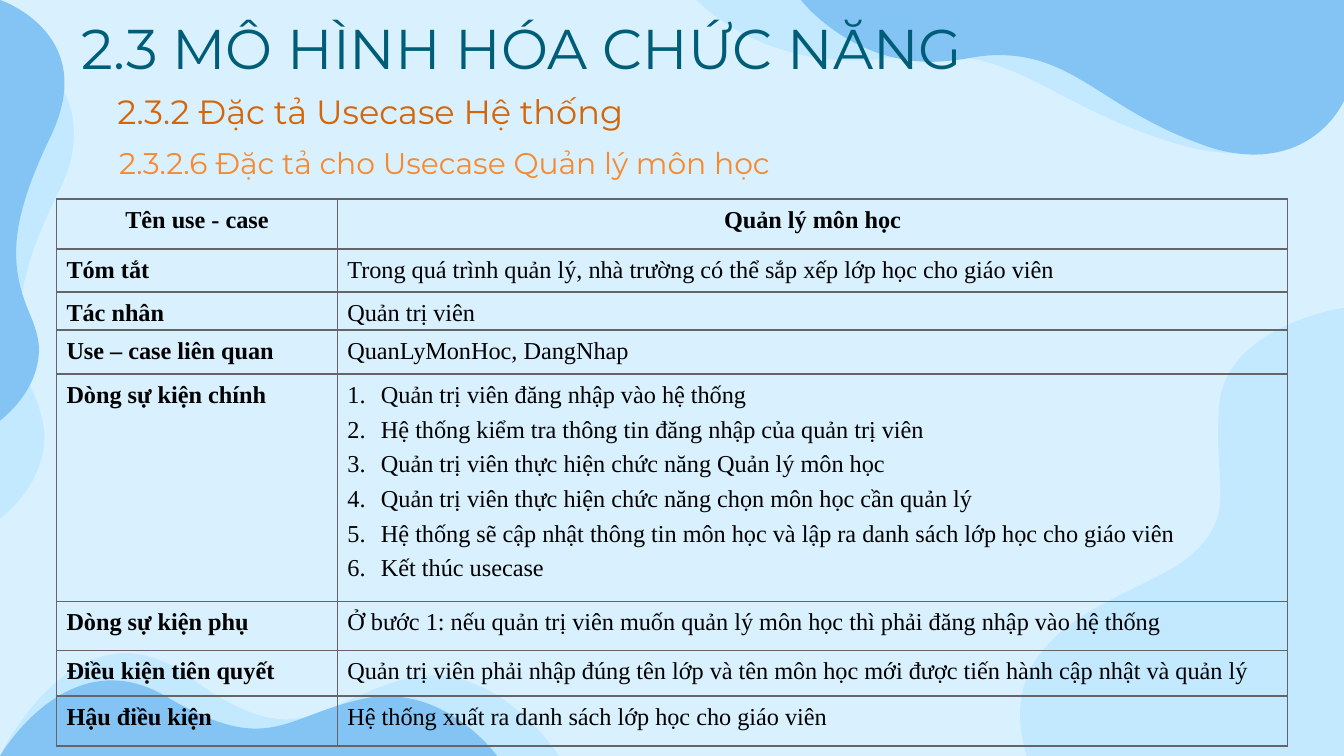
from lxml import etree
from pptx import Presentation
from pptx.dml.color import RGBColor
from pptx.enum.text import MSO_ANCHOR, PP_ALIGN
from pptx.oxml.ns import qn
from pptx.util import Inches, Pt

LEFT, CENTER, JUSTIFY = PP_ALIGN.LEFT, PP_ALIGN.CENTER, PP_ALIGN.JUSTIFY
TOP = MSO_ANCHOR.TOP
UNIT = Inches(0.1)
COLS, ROWS = 100, 56.25
PALE, SKY, INK, RULE = "C2E9FF", "84C4F4", "000000", "666466"
HEADING_FONT, TABLE_FONT = "Montserrat", "Times New Roman"

WAVES = [
    (PALE, (100, 22.9), [
        (100, 22.9, 91.1, 24.2, 90.7, 30.3), (90.3, 36.5, 92.1, 38.3, 88.5, 41.4),
        (84.9, 44.5, 73.4, 46.2, 76.4, ROWS), (100, ROWS)]),
    (PALE, (100, 0), [
        (100, 7.4), (100, 7.4, 97.9, 11.4, 92.1, 11.4), (90.7, 11.4, 89.1, 11.2, 87.2, 10.6),
        (78.7, 8, 76.1, 4.1, 69.4, 4.1), (68.5, 4.1, 67.4, 4.1, 66.3, 4.3),
        (65.3, 4.4, 64.4, 4.5, 63.5, 4.5), (56, 4.5, 51.8, 0, 51.8, 0)]),
    (SKY, (100, 0), [
        (100, 7.5), (100, 7.5, 98.3, 11.5, 93.3, 11.5), (92.2, 11.5, 90.8, 11.3, 89.3, 10.7),
        (82.1, 8.1, 80, 4.1, 74.3, 4.1), (73.5, 4.1, 72.7, 4.2, 71.7, 4.4),
        (70.9, 4.5, 70.1, 4.6, 69.3, 4.6), (63.1, 4.6, 59.6, 0, 59.6, 0)]),
    (PALE, (41.6, ROWS), [
        (41.6, ROWS, 36.8, 48.8, 30.2, 50.5), (23.5, 52.3, 22.3, 56.4, 14, 50.3),
        (5.7, 44.3, 0, ROWS, 0, ROWS)]),
    (SKY, (37, ROWS), [
        (37, ROWS, 33, 50.7, 27, 52), (21.1, 53.3, 20, 56.3, 12.5, 51.9),
        (5.1, 47.4, 0, ROWS, 0, ROWS)]),
    (PALE, (5.5, 9.9), [
        (5.5, 4.7, 0, 2.8, 0, 2.8), (0, 38.6), (0, 38.6, 3.3, 36.2, 3.3, 32.5),
        (3.3, 31.8, 3.1, 30.9, 2.8, 30), (2.1, 28.4, 1.4, 26.7, 1.4, 24.3),
        (1.4, 21.9, 2.1, 18.8, 4.3, 14.4), (5.2, 12.7, 5.5, 11.2, 5.5, 9.9)]),
    (SKY, (4.8, 6.2), [
        (4.8, 1.6, 0, 0, 0, 0), (0, 31.3), (0, 31.3, 2.9, 29.2, 2.9, 26),
        (2.9, 25.3, 2.7, 24.6, 2.4, 23.8), (1.8, 22.4, 1.2, 20.9, 1.2, 18.8),
        (1.2, 16.7, 1.9, 14, 3.8, 10.1), (4.5, 8.6, 4.8, 7.3, 4.8, 6.2)]),
]

ROW_HEIGHTS = [3.72, 3.2, 2.4, 3.3, 16.9, 3.64, 3.42, 3.7]
COLUMN_WIDTHS = [20.9, 70.7]
USE_CASE = [
    ("Tên use - case", ["Quản lý môn học"]),
    ("Tóm tắt", ["Trong quá trình quản lý, nhà trường có thể sắp xếp lớp học cho giáo viên"]),
    ("Tác nhân", ["Quản trị viên"]),
    ("Use – case liên quan", ["QuanLyMonHoc, DangNhap"]),
    ("Dòng sự kiện chính", [
        "Quản trị viên đăng nhập vào hệ thống",
        "Hệ thống kiểm tra thông tin đăng nhập của quản trị viên",
        "Quản trị viên thực hiện chức năng Quản lý môn học",
        "Quản trị viên thực hiện chức năng chọn môn học cần quản lý",
        "Hệ thống sẽ cập nhật thông tin môn học và lập ra danh sách lớp học cho giáo viên",
        "Kết thúc usecase"]),
    ("Dòng sự kiện phụ", [
        "Ở bước 1: nếu quản trị viên muốn quản lý môn học thì phải đăng nhập vào hệ thống"]),
    ("Điều kiện tiên quyết", [
        "Quản trị viên phải nhập đúng tên lớp và tên môn học mới được tiến hành cập nhật và quản lý"]),
    ("Hậu điều kiện", ["Hệ thống xuất ra danh sách lớp học cho giáo viên"]),
]


def grid(n):
    """Turn grid units into EMU."""
    return round(n * UNIT)


def rgb(value):
    """Turn a hex string into a colour."""
    return RGBColor.from_string(value)


def add_run(p, text, size, font, color, bold=False):
    """Append one formatted run to a paragraph."""
    r = p.add_run()
    r.text = text
    r.font.size, r.font.name, r.font.bold = Pt(size), font, bold
    r.font.color.rgb = rgb(color)


def bend_lines(sp, segments):
    """Merge each run of three line points that stands for a curve."""
    lines = iter(list(sp.element.iter(qn("a:lnTo"))))
    for seg in segments:
        first = next(lines)
        if len(seg) == 6:
            first.tag = qn("a:cubicBezTo")
            for _ in range(2):
                line = next(lines)
                first.append(line[0])
                line.getparent().remove(line)


def draw_waves(s, master, box):
    """Draw the waves from the corner of the box and hand them to the master."""
    x, y = box[:2]
    for i, (color, start, segments) in enumerate(WAVES):
        points = [start] + [seg[k:k + 2] for seg in segments for k in range(0, len(seg), 2)]
        outline = [(grid(x + px), grid(y + py)) for px, py in points]
        builder = s.shapes.build_freeform(*outline[0], scale=1.0)
        builder.add_line_segments(outline[1:], close=False)
        sp = builder.convert_to_shape()
        bend_lines(sp, segments)
        sp.shadow.inherit = False
        sp.fill.solid()
        sp.fill.fore_color.rgb = rgb(color)
        sp.line.fill.background()
        master.shapes.element.insert(2 + i, sp.element)


def write_heading(sp, box, text, size, color, align, inset):
    """Place a heading shape in the box and fill in its text."""
    sp.left, sp.top, sp.width, sp.height = map(grid, box)
    tf = sp.text_frame
    tf.word_wrap = True
    tf.vertical_anchor = TOP
    tf.margin_left = tf.margin_right = Inches(0.1)
    tf.margin_top = tf.margin_bottom = grid(inset)
    p = tf.paragraphs[0]
    p.alignment = align
    add_run(p, text, size, HEADING_FONT, color)


def number_paragraph(p):
    """Give a paragraph automatic numbering with a hanging indent."""
    pPr = p._p.get_or_add_pPr()
    pPr.set("marL", str(grid(2.5)))
    pPr.set("indent", str(grid(-2.5)))
    clr = etree.SubElement(pPr, qn("a:buClr"))
    etree.SubElement(clr, qn("a:srgbClr"), val=INK)
    etree.SubElement(pPr, qn("a:buAutoNum"), type="arabicPeriod")


def set_borders(cell):
    """Rule all four sides of a cell."""
    tcPr = cell._tc.get_or_add_tcPr()
    for i, side in enumerate(("lnL", "lnR", "lnT", "lnB")):
        ln = etree.Element(qn("a:" + side), w=str(Pt(1)))
        fill = etree.SubElement(ln, qn("a:solidFill"))
        etree.SubElement(fill, qn("a:srgbClr"), val=RULE)
        tcPr.insert(i, ln)


def write_cell(cell, lines, align, bold):
    """Fill one table cell, numbering its lines when there are several."""
    cell.fill.background()
    set_borders(cell)
    cell.margin_left = cell.margin_right = grid(0.75)
    cell.margin_top = cell.margin_bottom = 0
    cell.vertical_anchor = TOP
    tf = cell.text_frame
    for i, line in enumerate(lines):
        p = tf.add_paragraph() if i else tf.paragraphs[0]
        if len(lines) > 1:
            number_paragraph(p)
        p.alignment = align
        p.line_spacing = 1.3
        add_run(p, line, 13, TABLE_FONT, INK, bold)


def draw_use_case(s, box):
    """Place the use case table in the box."""
    table = s.shapes.add_table(len(USE_CASE), 2, *map(grid, box)).table
    table.first_row = table.horz_banding = False
    for column, width in zip(table.columns, COLUMN_WIDTHS):
        column.width = grid(width)
    for i, (label, lines) in enumerate(USE_CASE):
        table.rows[i].height = grid(ROW_HEIGHTS[i])
        header = i == 0
        write_cell(table.cell(i, 0), [label], CENTER if header else LEFT, True)
        write_cell(table.cell(i, 1), lines, CENTER if header else JUSTIFY, header)


def main():
    """Build the slide and save it."""
    prs = Presentation()
    prs.slide_width, prs.slide_height = grid(COLS), grid(ROWS)
    master = prs.slide_master
    master.background.fill.solid()
    master.background.fill.fore_color.rgb = rgb("D9F1FF")
    s = prs.slides.add_slide(prs.slide_layouts[5])
    draw_waves(s, master, (0, 0, COLS, ROWS))
    write_heading(s.shapes.title, (2.45, 0, 72.8, 7.6), "2.3 MÔ HÌNH HÓA CHỨC NĂNG",
                  30, "005D77", CENTER, 1)
    for box, text, size, color, align, inset in (
            ((7.75, 5.75, 46, 6.4), "2.3.2 Đặc tả Usecase Hệ thống", 18, "D46508", LEFT, 1),
            ((6.35, 10.3, 53.5, 3.7), "2.3.2.6 Đặc tả cho Usecase Quản lý môn học",
             16, "F78A2F", CENTER, 0.5)):
        sp = s.shapes.add_textbox(0, 0, UNIT, UNIT)
        write_heading(sp, box, text, size, color, align, inset)
    draw_use_case(s, (4.2, 14.8, sum(COLUMN_WIDTHS), sum(ROW_HEIGHTS)))
    prs.save("out.pptx")


if __name__ == "__main__":
    main()
